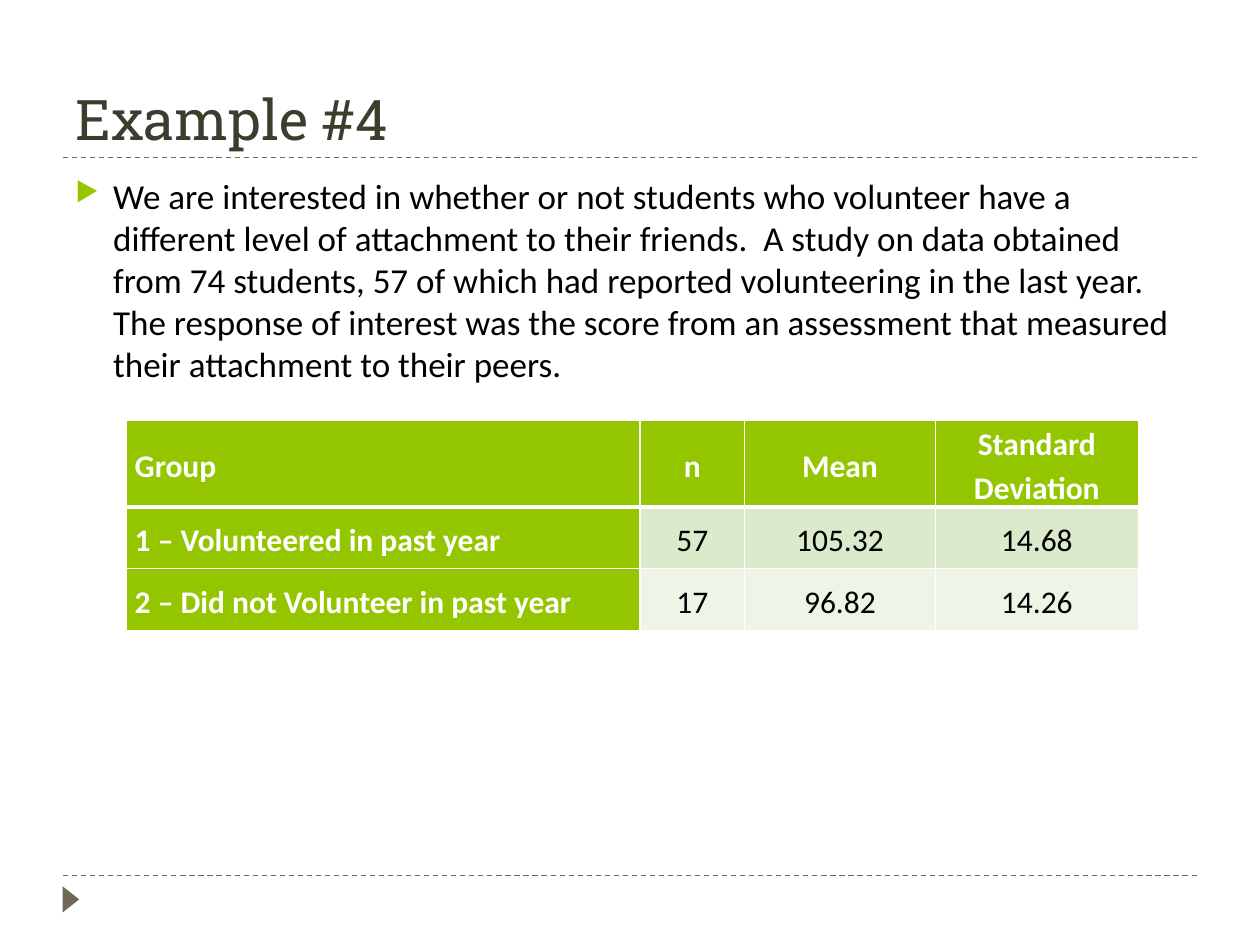
import pptx
import pptx.util
import pptx.dml.color
import pptx.enum.dml
import pptx.enum.shapes
import pptx.enum.text
import pptx.oxml
import pptx.oxml.ns
from lxml import etree

Pt = pptx.util.Pt
qn = pptx.oxml.ns.qn
ANCHOR = pptx.enum.text.MSO_ANCHOR
ALIGN = pptx.enum.text.PP_ALIGN

TITLE = "Example #4"
BODY = (
    "We are interested in whether or not students who volunteer have a different level of "
    "attachment to their friends.  A study on data obtained from 74 students, 57 of which had "
    "reported volunteering in the last year.  The response of interest was the score from an "
    "assessment that measured their attachment to their peers."
)
ROWS = [
    ["Group", "n", "Mean", "Standard Deviation"],
    ["1 – Volunteered in past year", "57", "105.32", "14.68"],
    ["2 – Did not Volunteer in past year", "17", "96.82", "14.26"],
]
COL_WIDTHS = [293.8, 59.8, 108.9, 116.1]
ROW_HEIGHTS = [45.4, 35.3, 35.3]
BAND_FILLS = ["94C600", "DCEACC", "EEF5E7"]
GREEN, TAUPE, WHITE, BLACK = "94C600", "71685A", "FFFFFF", "000000"
MARGIN, CONTENT_W = 36, 648
RULES_Y = [500.4, 90]


def rgb(value):
    return pptx.dml.color.RGBColor.from_string(value)


def add_run(p, text, size, font, color, bold=False):
    r = p.add_run()
    r.text = text
    r.font.size = Pt(size)
    r.font.name = font
    r.font.bold = bold
    r.font.color.rgb = rgb(color)


def add_text(s, top, height, anchor):
    sp = s.shapes.add_textbox(Pt(MARGIN), Pt(top), Pt(CONTENT_W), Pt(height))
    tf = sp.text_frame
    tf.word_wrap = True
    tf.vertical_anchor = anchor
    return tf.paragraphs[0]


def add_bullet(p, char, color, percent, indent):
    pPr = p._p.get_or_add_pPr()
    pPr.set("marL", str(Pt(indent)))
    pPr.set("indent", str(-Pt(indent)))
    clr = etree.SubElement(pPr, qn("a:buClr"))
    etree.SubElement(clr, qn("a:srgbClr"), val=color)
    etree.SubElement(pPr, qn("a:buSzPct"), val=str(percent * 1000))
    etree.SubElement(pPr, qn("a:buChar"), char=char)


def add_rule(s, y):
    c = s.shapes.add_connector(
        pptx.enum.shapes.MSO_CONNECTOR.STRAIGHT,
        Pt(MARGIN), Pt(y), Pt(MARGIN + CONTENT_W), Pt(y))
    c.line.color.rgb = rgb(TAUPE)
    c.line.width = Pt(0.75)
    c.line.dash_style = pptx.enum.dml.MSO_LINE.DASH
    etree.SubElement(c._element.spPr, qn("a:effectLst"))


def set_borders(cell, widths):
    tcPr = cell._tc.get_or_add_tcPr()
    for side, width in widths.items():
        ln = etree.SubElement(tcPr, qn("a:ln" + side), w=str(Pt(width)))
        fill = etree.SubElement(ln, qn("a:solidFill"))
        etree.SubElement(fill, qn("a:srgbClr"), val=WHITE)


def add_data_table(s):
    tbl = s.shapes.add_table(
        len(ROWS), len(COL_WIDTHS), Pt(72), Pt(240),
        Pt(sum(COL_WIDTHS)), Pt(sum(ROW_HEIGHTS))).table
    for col, width in zip(tbl.columns, COL_WIDTHS):
        col.width = Pt(width)
    for i, (row, height) in enumerate(zip(ROWS, ROW_HEIGHTS)):
        tbl.rows[i].height = Pt(height)
        for j, text in enumerate(row):
            cell = tbl.cell(i, j)
            heading = i == 0 or j == 0
            set_borders(cell, {"L": 1, "R": 1, "T": 3 if i == 1 else 1, "B": 3 if i == 0 else 1})
            cell.fill.solid()
            cell.fill.fore_color.rgb = rgb(GREEN if heading else BAND_FILLS[i])
            cell.margin_left = cell.margin_right = Pt(5)
            cell.margin_top = cell.margin_bottom = 0
            cell.vertical_anchor = ANCHOR.MIDDLE
            p = cell.text_frame.paragraphs[0]
            p.alignment = ALIGN.CENTER if j else ALIGN.LEFT
            p.line_spacing = 1.15
            add_run(p, text, 18, "Calibri", WHITE if heading else BLACK, heading)


def main():
    prs = pptx.Presentation()
    prs.slide_width, prs.slide_height = Pt(720), Pt(540)
    s = prs.slides.add_slide(prs.slide_layouts[6])

    for y in RULES_Y:
        add_rule(s, y)

    sp = s.shapes.add_shape(
        pptx.enum.shapes.MSO_SHAPE.ISOSCELES_TRIANGLE, Pt(33), Pt(509.2), Pt(15), Pt(9.5))
    sp.rotation = 90
    sp.shadow.inherit = False
    sp.fill.solid()
    sp.fill.fore_color.rgb = rgb(TAUPE)
    sp.line.fill.background()

    p = add_text(s, 12.2, 77.8, ANCHOR.BOTTOM)
    add_run(p, TITLE, 32, "Roboto Slab", "3E3D2D")

    p = add_text(s, 96, 388.8, ANCHOR.TOP)
    p.space_before = Pt(6)
    add_bullet(p, "▶", GREEN, 76, 21.6)
    add_run(p, BODY, 20, "Calibri", BLACK)

    add_data_table(s)
    prs.save("out.pptx")


if __name__ == "__main__":
    main()
